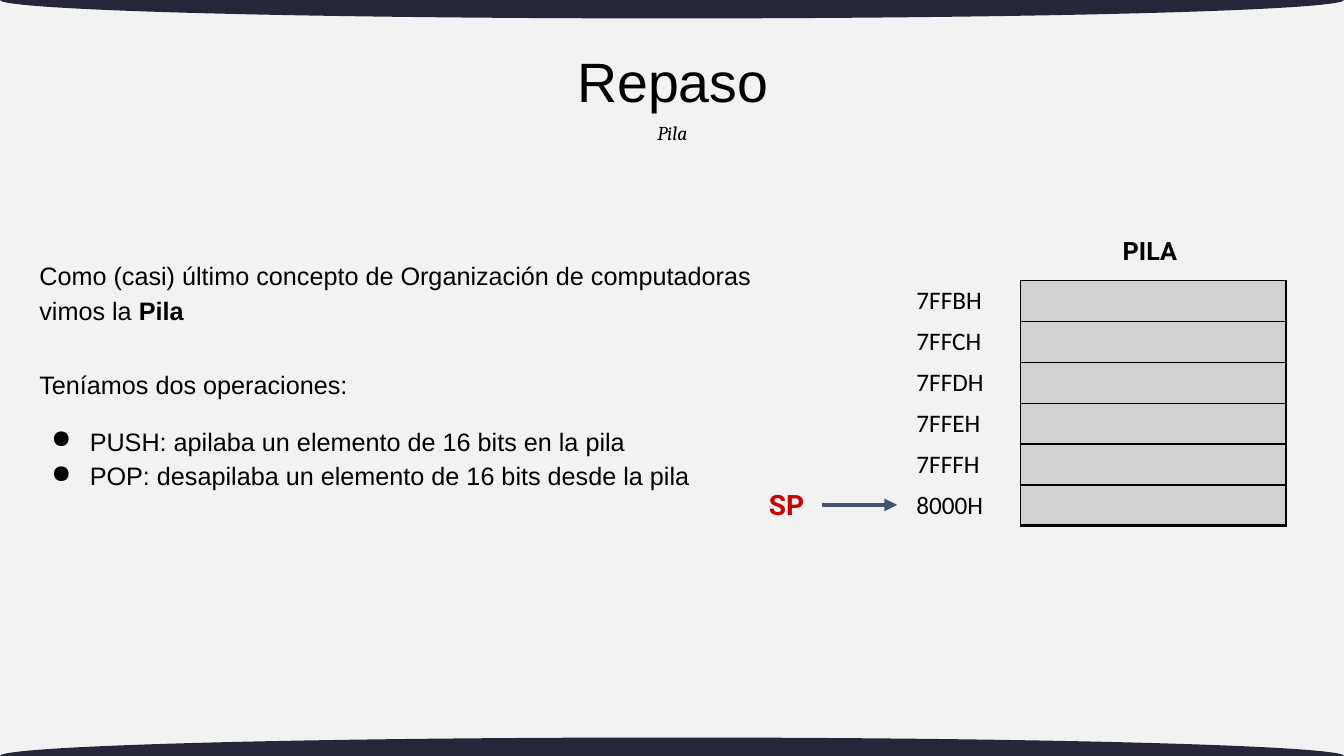
from dataclasses import dataclass

from lxml import etree
from pptx import Presentation
from pptx.dml.color import RGBColor
from pptx.enum.shapes import MSO_CONNECTOR, MSO_SHAPE
from pptx.enum.text import MSO_ANCHOR, MSO_AUTO_SIZE, PP_ALIGN
from pptx.oxml.ns import qn
from pptx.util import Inches, Pt

LEFT, CENTER = PP_ALIGN.LEFT, PP_ALIGN.CENTER
TOP, MIDDLE = MSO_ANCHOR.TOP, MSO_ANCHOR.MIDDLE
NO_AUTOFIT = MSO_AUTO_SIZE.NONE
ELLIPSE, STRAIGHT = MSO_SHAPE.OVAL, MSO_CONNECTOR.STRAIGHT

COLORS = {
    "background": "F2F2F2",
    "band": "252738",
    "text": "000000",
    "cell": "D0D1D2",
    "pointer": "CC0000",
    "arrow": "44546A",
}
SLIDE_WIDTH, SLIDE_HEIGHT = Inches(13.33), Inches(7.5)
GRID_COLUMNS, GRID_ROWS = 160, 90
NO_TABLE_STYLE = "{2D5ABB26-0587-4C30-8999-92F81FD0307C}"
ADDRESSES = ["7FFBH", "7FFCH", "7FFDH", "7FFEH", "7FFFH", "8000H"]


@dataclass(frozen=True)
class Area:
    column: float
    row: float
    columns: float
    rows: float


@dataclass(frozen=True)
class Label:
    area: Area
    paragraphs: tuple[tuple[str, ...], ...]
    size: float = 18
    font: str = "Arial"
    color: str = "text"
    bold: bool = False
    italic: bool = False
    align: PP_ALIGN = LEFT
    anchor: MSO_ANCHOR = TOP
    spacing: float = 1.0
    bulleted: bool = False


HEADING = Label(Area(41.2, 4.4, 77.8, 11.3), (("Repaso",),), size=39.6,
                align=CENTER, anchor=MIDDLE, spacing=0.9)
LABELS = [
    Label(Area(52.8, 13.8, 54.5, 4.1), (("Pila",),), size=14, font="Cambria",
          italic=True, align=CENTER),
    Label(Area(3.5, 30.7, 93.6, 7.9),
          (("Como (casi) último concepto de Organización de computadoras",),
           ("vimos la ", "Pila")), anchor=MIDDLE, spacing=1.15),
    Label(Area(3.5, 41.5, 93.6, 7.9), (("Teníamos dos operaciones:",),),
          anchor=MIDDLE, spacing=1.15),
    Label(Area(3.5, 49.3, 93.6, 10),
          (("PUSH: apilaba un elemento de 16 bits en la pila",),
           ("POP: desapilaba un elemento de 16 bits desde la pila",)),
          anchor=MIDDLE, spacing=1.15, bulleted=True),
    Label(Area(129.6, 27.4, 14.6, 6), (("PILA",),), font="Roboto", bold=True,
          align=CENTER),
    Label(Area(88.3, 57.5, 10.7, 5.2), (("SP",),), size=20, font="Roboto",
          color="pointer", bold=True, align=CENTER),
]


def across(columns: float) -> int:
    return round(SLIDE_WIDTH * columns / GRID_COLUMNS)


def down(rows: float) -> int:
    return round(SLIDE_HEIGHT * rows / GRID_ROWS)


def bounds(area: Area) -> tuple[int, int, int, int]:
    return across(area.column), down(area.row), across(area.columns), down(area.rows)


def rgb(role: str) -> RGBColor:
    return RGBColor.from_string(COLORS[role])


def add_bullet(paragraph) -> None:
    properties = paragraph._p.get_or_add_pPr()
    properties.set("marL", str(Inches(0.5)))
    properties.set("indent", str(Inches(-0.38)))
    bullet_color = etree.SubElement(properties, qn("a:buClr"))
    etree.SubElement(bullet_color, qn("a:srgbClr"), val=COLORS["text"])
    etree.SubElement(properties, qn("a:buChar"), char="●")


def write_label(shape, label: Label) -> None:
    shape.left, shape.top, shape.width, shape.height = bounds(label.area)
    frame = shape.text_frame
    frame.word_wrap = True
    frame.auto_size = NO_AUTOFIT
    frame.vertical_anchor = label.anchor
    for index, pieces in enumerate(label.paragraphs):
        paragraph = frame.add_paragraph() if index else frame.paragraphs[0]
        paragraph.alignment = label.align
        paragraph.line_spacing = label.spacing
        paragraph.font.size = Pt(label.size)
        paragraph.font.name = label.font
        paragraph.font.italic = label.italic
        paragraph.font.color.rgb = rgb(label.color)
        for position, piece in enumerate(pieces):
            run = paragraph.add_run()
            run.text = piece
            run.font.bold = label.bold or position > 0
        if label.bulleted:
            add_bullet(paragraph)


def add_band(slide, row: float) -> None:
    band = slide.shapes.add_shape(ELLIPSE, *bounds(Area(0, row, GRID_COLUMNS, 4.4)))
    band.shadow.inherit = False
    band.fill.solid()
    band.fill.fore_color.rgb = rgb("band")
    band.line.fill.background()


def add_border(cell, side: str, width: float) -> None:
    border = etree.SubElement(cell._tc.get_or_add_tcPr(), qn(f"a:ln{side}"),
                              w=str(Pt(width)))
    fill = etree.SubElement(border, qn("a:solidFill"))
    etree.SubElement(fill, qn("a:srgbClr"), val=COLORS["text"])


def add_stack(slide, area: Area) -> None:
    frame = slide.shapes.add_table(len(ADDRESSES), 2, *bounds(area))
    stack = frame.table
    stack.first_row = stack.horz_banding = False
    stack._tbl.tblPr.find(qn("a:tableStyleId")).text = NO_TABLE_STYLE
    for column, span in zip(stack.columns, (13.6, 31.6)):
        column.width = across(span)
    for index, address in enumerate(ADDRESSES):
        stack.rows[index].height = down(area.rows / len(ADDRESSES))
        address_cell, memory_cell = stack.cell(index, 0), stack.cell(index, 1)
        address_cell.text = address
        paragraph = address_cell.text_frame.paragraphs[0]
        paragraph.font.size = Pt(18)
        paragraph.font.name = "Calibri"
        paragraph.font.color.rgb = rgb("text")
        add_border(address_cell, "R", 1)
        address_cell.fill.background()
        bottom = 2.25 if index == len(ADDRESSES) - 1 else 1
        for side, width in (("L", 1), ("R", 2.25), ("T", 1), ("B", bottom)):
            add_border(memory_cell, side, width)
        memory_cell.fill.solid()
        memory_cell.fill.fore_color.rgb = rgb("cell")


def add_pointer_arrow(slide, start: float, end: float, row: float) -> None:
    arrow = slide.shapes.add_connector(STRAIGHT, across(start), down(row),
                                       across(end), down(row))
    arrow.line.color.rgb = rgb("arrow")
    arrow.line.width = Pt(3)
    etree.SubElement(arrow.line._get_or_add_ln(), qn("a:tailEnd"), type="triangle")
    etree.SubElement(arrow._element.spPr, qn("a:effectLst"))


def main() -> None:
    deck = Presentation()
    deck.slide_width, deck.slide_height = SLIDE_WIDTH, SLIDE_HEIGHT
    slide = deck.slides.add_slide(deck.slide_layouts[5])
    slide.background.fill.solid()
    slide.background.fill.fore_color.rgb = rgb("background")
    for row in (-2.2, GRID_ROWS - 2.2):
        add_band(slide, row)
    write_label(slide.shapes.title, HEADING)
    add_stack(slide, Area(107.9, 33.4, 45.2, 29.2))
    for label in LABELS:
        write_label(slide.shapes.add_textbox(*bounds(label.area)), label)
    add_pointer_arrow(slide, 97.9, 106.8, 60.1)
    deck.save("out.pptx")


main()
